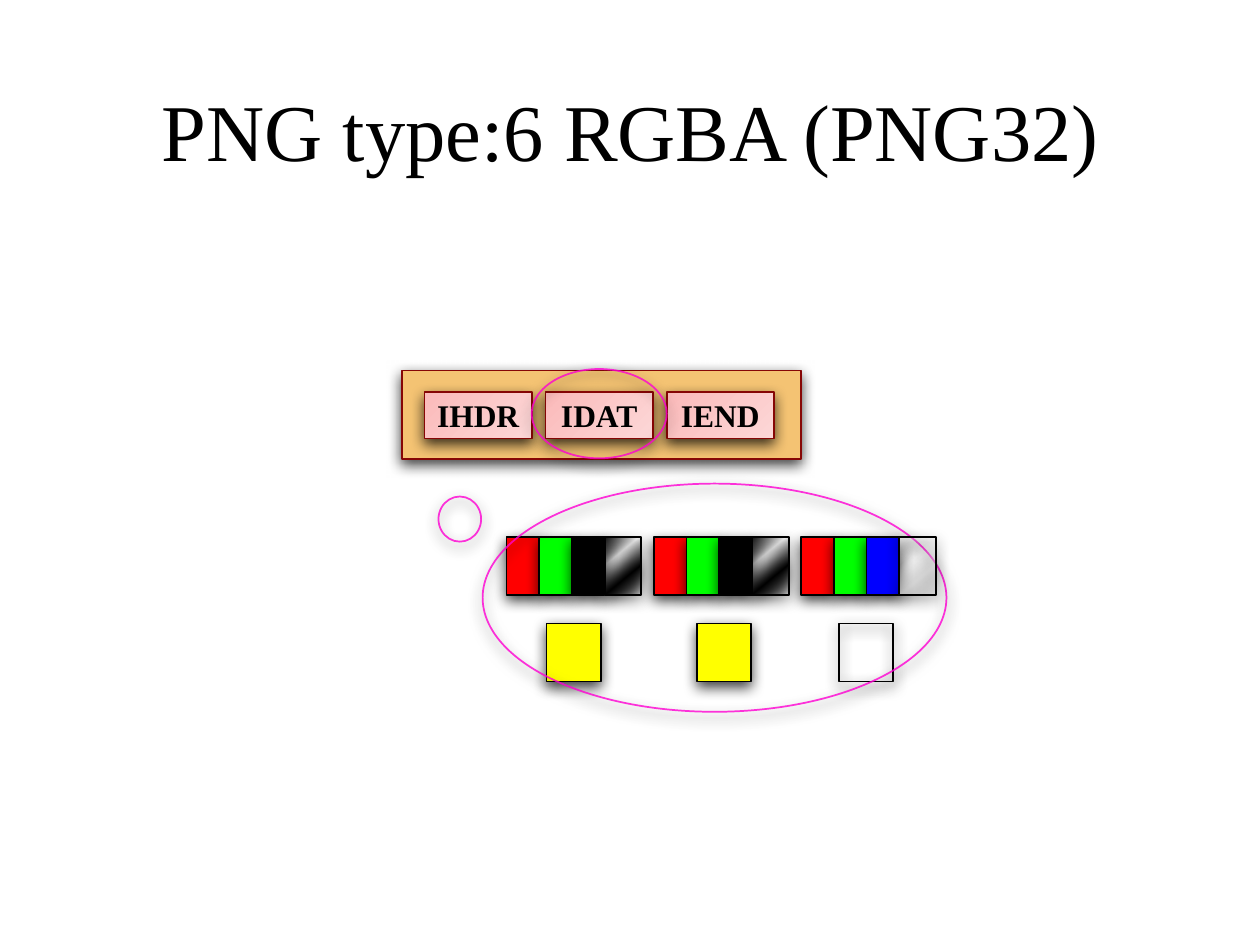
from dataclasses import dataclass
from typing import Optional

from pptx import Presentation
from pptx import util as u
from pptx.dml.color import RGBColor
from pptx.enum import shapes, text
from pptx.oxml import parse_xml
from pptx.oxml.ns import nsdecls, qn

FONT = "Times New Roman"
COLORS = {
    "black": "000000", "white": "FFFFFF", "gray": "F2F2F2",
    "red": "FF0000", "green": "00FF00", "blue": "0000FF", "yellow": "FFFF00",
    "file": "F4C373", "border": "860605", "highlight": "FF00D3",
    "chunk_light": "FCD7D7", "chunk_dark": "FBBABA",
}


@dataclass
class Stop:
    position: int
    color: str
    opacity: int = 100


@dataclass
class Gradient:
    stops: list[Stop]
    angle: Optional[int] = None  # None: radial from the bottom right corner


@dataclass
class Item:
    left: float
    top: float
    width: float
    height: float
    fill: str | Gradient | None = None
    line: str = "black"
    label: str = ""
    oval: bool = False


CHUNK_FILL = Gradient([Stop(0, "chunk_light"), Stop(100, "chunk_dark")])
OPAQUE_ALPHA = Gradient([Stop(0, "black"), Stop(33, "black", 0),
                         Stop(66, "black"), Stop(100, "black", 0)], 50)
CLEAR_ALPHA = Gradient([Stop(0, "white", 48), Stop(33, "gray", 0),
                        Stop(66, "gray", 51), Stop(100, "gray", 0)], 50)


def rgb(name: str) -> RGBColor:
    return RGBColor.from_string(COLORS[name])


def color_xml(name: str, opacity: int) -> str:
    return (f'<a:srgbClr {nsdecls("a")} val="{COLORS[name]}">'
            f'<a:alpha val="{opacity * 1000}"/></a:srgbClr>')


def apply_gradient(shape, gradient: Gradient) -> None:
    stops = "".join(f'<a:gs pos="{stop.position * 1000}">'
                    f'{color_xml(stop.color, stop.opacity)}</a:gs>'
                    for stop in gradient.stops)
    if gradient.angle is None:
        direction = ('<a:path path="circle">'
                     '<a:fillToRect l="100000" t="100000"/></a:path>')
    else:
        direction = f'<a:lin ang="{gradient.angle * 60000}" scaled="0"/>'
    properties = shape._element.spPr
    properties.replace(properties.find(qn("a:noFill")), parse_xml(
        f'<a:gradFill {nsdecls("a")} rotWithShape="1">'
        f'<a:gsLst>{stops}</a:gsLst>{direction}</a:gradFill>'))


def apply_shadow(shape) -> None:
    shape.shadow.inherit = False
    shape._element.spPr.find(qn("a:effectLst")).append(parse_xml(
        f'<a:outerShdw {nsdecls("a")} blurRad="{u.Pt(8)}" dist="{u.Pt(3)}" '
        f'dir="5400000" algn="ctr" rotWithShape="0">'
        f'{color_xml("black", 75)}</a:outerShdw>'))


def add_run(paragraph, content: str, size: int, bold: bool = False) -> None:
    run = paragraph.add_run()
    run.text = content
    run.font.name = FONT
    run.font.size = u.Pt(size)
    run.font.bold = bold
    run.font.color.rgb = rgb("black")


def draw(slide, item: Item):
    kind = shapes.MSO_SHAPE.OVAL if item.oval else shapes.MSO_SHAPE.RECTANGLE
    shape = slide.shapes.add_shape(kind, u.Cm(item.left), u.Cm(item.top),
                                   u.Cm(item.width), u.Cm(item.height))
    shape.line.color.rgb = rgb(item.line)
    shape.line.width = u.Pt(1)
    if isinstance(item.fill, str):
        shape.fill.solid()
        shape.fill.fore_color.rgb = rgb(item.fill)
    else:
        shape.fill.background()
    if isinstance(item.fill, Gradient):
        apply_gradient(shape, item.fill)
    apply_shadow(shape)
    if item.label:
        frame = shape.text_frame
        frame.word_wrap = False
        frame.vertical_anchor = text.MSO_ANCHOR.MIDDLE
        frame.paragraphs[0].alignment = text.PP_ALIGN.CENTER
        add_run(frame.paragraphs[0], item.label, 18, True)
    return shape


def draw_highlight(slide, left: float, top: float,
                   width: float, height: float) -> None:
    shape = draw(slide, Item(left, top, width, height,
                             line="highlight", oval=True))
    line_fill = shape.line._ln.find(qn("a:solidFill"))
    line_fill.replace(line_fill[0], parse_xml(color_xml("highlight", 80)))


def add_title(slide) -> None:
    title = slide.shapes.title
    title.left, title.top = u.Cm(2.54), u.Cm(1.4)
    title.width, title.height = u.Cm(20.32), u.Cm(2.41)
    title.text_frame.vertical_anchor = text.MSO_ANCHOR.MIDDLE
    paragraph = title.text_frame.paragraphs[0]
    paragraph.alignment = text.PP_ALIGN.CENTER
    add_run(paragraph, "PNG type:6 RGBA (PNG32)", 46)


def main() -> None:
    presentation = Presentation()
    presentation.slide_width, presentation.slide_height = u.Cm(25.4), u.Cm(19.05)
    slide = presentation.slides.add_slide(presentation.slide_layouts[5])
    add_title(slide)

    # Resulting colour of each pixel
    for left, fill in ((11.02, "yellow"), (14.05, "yellow"), (16.92, None)):
        draw(slide, Item(left, 12.57, 1.09, 1.17, fill))

    # File with its chunks
    draw(slide, Item(8.1, 7.47, 8.05, 1.78, "file", "border"))
    for index, label in enumerate(("IHDR", "IDAT", "IEND")):
        draw(slide, Item(8.56 + 2.44 * index, 7.9, 2.16, 0.94,
                         CHUNK_FILL, "border", label))
    draw_highlight(slide, 10.72, 7.44, 2.72, 1.8)

    # Colour channels of the three pixels
    pixel_left, pixel_step, pixel_top = 10.21, 2.97, 10.82
    channel_width, channel_height = 0.66, 1.17
    for pixel, third in enumerate(("black", "black", "blue")):
        for channel, fill in enumerate(("red", "green", third)):
            left = pixel_left + pixel_step * pixel + channel_width * channel
            draw(slide, Item(left, pixel_top, channel_width,
                             channel_height, fill))
    draw_highlight(slide, 9.73, 9.75, 9.35, 4.6)

    # Alpha channels lie above the large ellipse
    for pixel, fill in enumerate((OPAQUE_ALPHA, OPAQUE_ALPHA, CLEAR_ALPHA)):
        left = pixel_left + pixel_step * pixel + channel_width * 3
        draw(slide, Item(left, pixel_top, 0.74, channel_height, fill))
    draw_highlight(slide, 8.84, 10.01, 0.86, 0.91)

    presentation.save("out.pptx")


if __name__ == "__main__":
    main()
